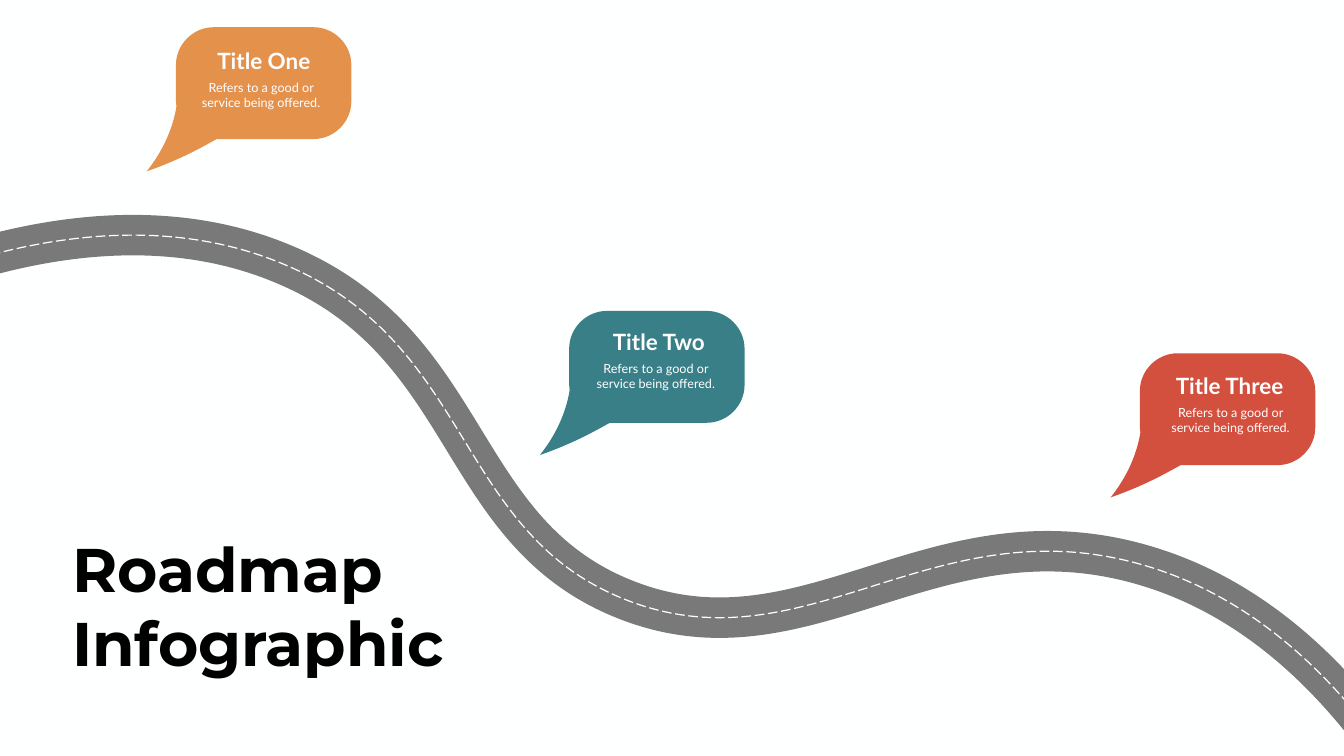
from dataclasses import dataclass

from lxml import etree
from pptx import Presentation
from pptx import util as u
from pptx.dml.color import RGBColor
from pptx.enum import dml, text
from pptx.oxml import ns


@dataclass(frozen=True)
class Theme:
    background: str = "FEFFFF"
    road: str = "797979"
    light: str = "FFFFFF"
    dark: str = "000000"
    orange: str = "E4914C"
    teal: str = "397F87"
    red: str = "D34F3E"
    body_font: str = "Lato"
    heading_font: str = "Montserrat"
    heading_size: float = 88
    title_size: float = 32
    body_size: float = 18


THEME = Theme()

# Outlines in points: a pair is a straight line, six numbers are a Bezier curve
ROAD = [
    (-49.7, 374.4),
    (64.8, 339.8, 240.5, 306.7, 408.2, 378.7),
    (677.5, 493.2, 648.7, 758.9, 892.1, 856.1),
    (1149.8, 959, 1329.8, 720.7, 1630.1, 806.4),
    (1835.3, 864.7, 1964.9, 1038.2, 2041.2, 1171.4),
]
BUBBLE = [
    (238.3, 0),
    (95.8, 0),
    (66.2, 0, 41.8, 24.5, 41.8, 54),
    (41.8, 105.8),
    (41.8, 108, 42.5, 110.9, 42.5, 113),
    (41.8, 118.8, 40.3, 124.6, 38.9, 130.3),
    (30.2, 162.7, 14.4, 187.9, 0, 205.9),
    (24.5, 197.3, 52.6, 185.8, 82.8, 169.2),
    (88.6, 166.3, 94.3, 162.7, 100.1, 159.8),
    (238.3, 159.8),
    (267.8, 159.8, 292.3, 135.4, 292.3, 105.8),
    (292.3, 54),
    (292.3, 24.5, 267.8, 0, 238.3, 0),
]

# Title, colour, bubble left and top, title left, top and width, body left
MILESTONES = [
    ("Title One", THEME.orange, (209.5, 38.9), (302.4, 63.4, 149), 277.2),
    ("Title Two", THEME.teal, (771.1, 444.2), (865.4, 465.1, 151.2), 841),
    ("Title Three", THEME.red, (1586.2, 504.7), (1670.4, 528.5, 171.4), 1661.8),
]
BODY = "Refers to a good or service being offered."


def rgb(color):
    return RGBColor.from_string(color)


def bend(sp, outline):
    """Join the three lines drawn for each curve into one Bezier segment."""
    track = sp._element.find(".//" + ns.qn("a:path"))
    lines = iter(track.findall(ns.qn("a:lnTo")))
    for step in outline[1:]:
        first = next(lines)
        if len(step) == 2:
            continue
        curve = etree.Element(ns.qn("a:cubicBezTo"))
        first.addprevious(curve)
        for line in (first, next(lines), next(lines)):
            curve.append(line[0])
            track.remove(line)


def add_outline(s, outline, left=0, top=0, closed=False):
    points = [(u.Pt(step[i] + left), u.Pt(step[i + 1] + top))
              for step in outline for i in range(0, len(step), 2)]
    builder = s.shapes.build_freeform(*points[0], scale=1.0)
    builder.add_line_segments(points[1:], close=closed)
    sp = builder.convert_to_shape()
    bend(sp, outline)
    sp.shadow.inherit = False
    return sp


def add_road_line(s, color, width, dash=None):
    sp = add_outline(s, ROAD)
    sp.fill.background()
    sp.line.color.rgb = rgb(color)
    sp.line.width = u.Pt(width)
    if dash:
        sp.line.dash_style = dash


def add_bubble(s, left, top, color):
    sp = add_outline(s, BUBBLE, left, top, closed=True)
    sp.fill.solid()
    sp.fill.fore_color.rgb = rgb(color)
    sp.line.fill.background()


def add_text(s, box, lines, font, size, color, bold=False, wrap=False, align=None):
    tf = s.shapes.add_textbox(*map(u.Pt, box)).text_frame
    tf.word_wrap = wrap
    tf.auto_size = text.MSO_AUTO_SIZE.SHAPE_TO_FIT_TEXT
    for i, line in enumerate(lines):
        p = tf.add_paragraph() if i else tf.paragraphs[0]
        p.alignment = align
        r = p.add_run()
        r.text = line
        r.font.name = font
        r.font.size = u.Pt(size)
        r.font.bold = bold
        r.font.color.rgb = rgb(color)


def main():
    prs = Presentation()
    prs.slide_width, prs.slide_height = u.Pt(1919.52), u.Pt(1080)
    s = prs.slides.add_slide(prs.slide_layouts[6])
    s.background.fill.solid()
    s.background.fill.fore_color.rgb = rgb(THEME.background)

    # Road with its dashed centre line
    add_road_line(s, THEME.road, 57.77)
    add_road_line(s, THEME.light, 1.73, dml.MSO_LINE.LONG_DASH)

    # Milestone bubbles
    center = text.PP_ALIGN.CENTER
    for title, color, corner, (left, top, width), body_left in MILESTONES:
        add_bubble(s, *corner, color)
        add_text(s, (left, top, width, 46), [title], THEME.body_font,
                 THEME.title_size, THEME.light, bold=True, align=center)
        add_text(s, (body_left, top + 46.8, 191.5, 51), [BODY], THEME.body_font,
                 THEME.body_size, THEME.light, wrap=True, align=center)

    # Heading
    add_text(s, (95.8, 754.6, 545.8, 220.3), ["Roadmap", "Infographic"],
             THEME.heading_font, THEME.heading_size, THEME.dark, bold=True,
             align=text.PP_ALIGN.LEFT)

    prs.save("out.pptx")


if __name__ == "__main__":
    main()
